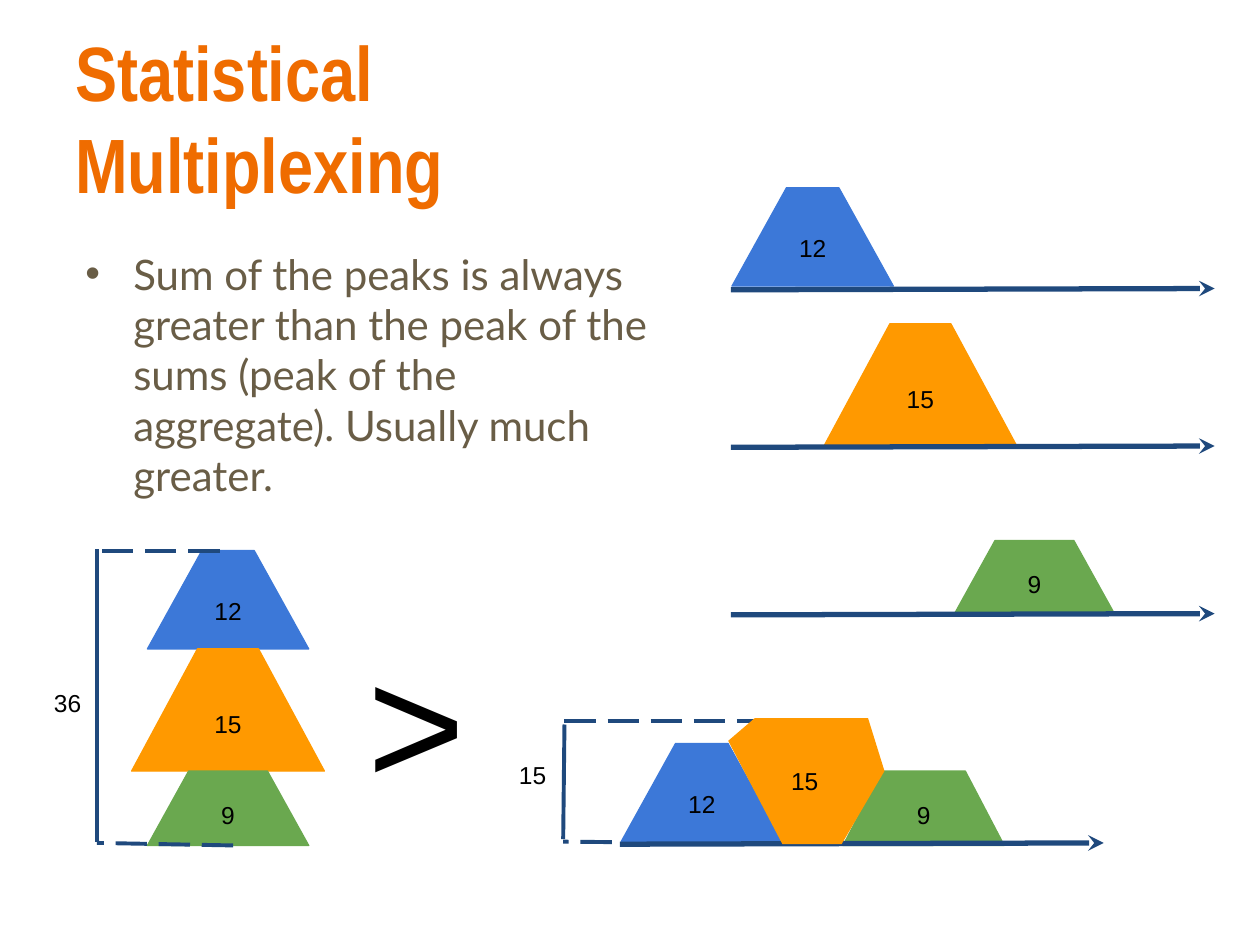
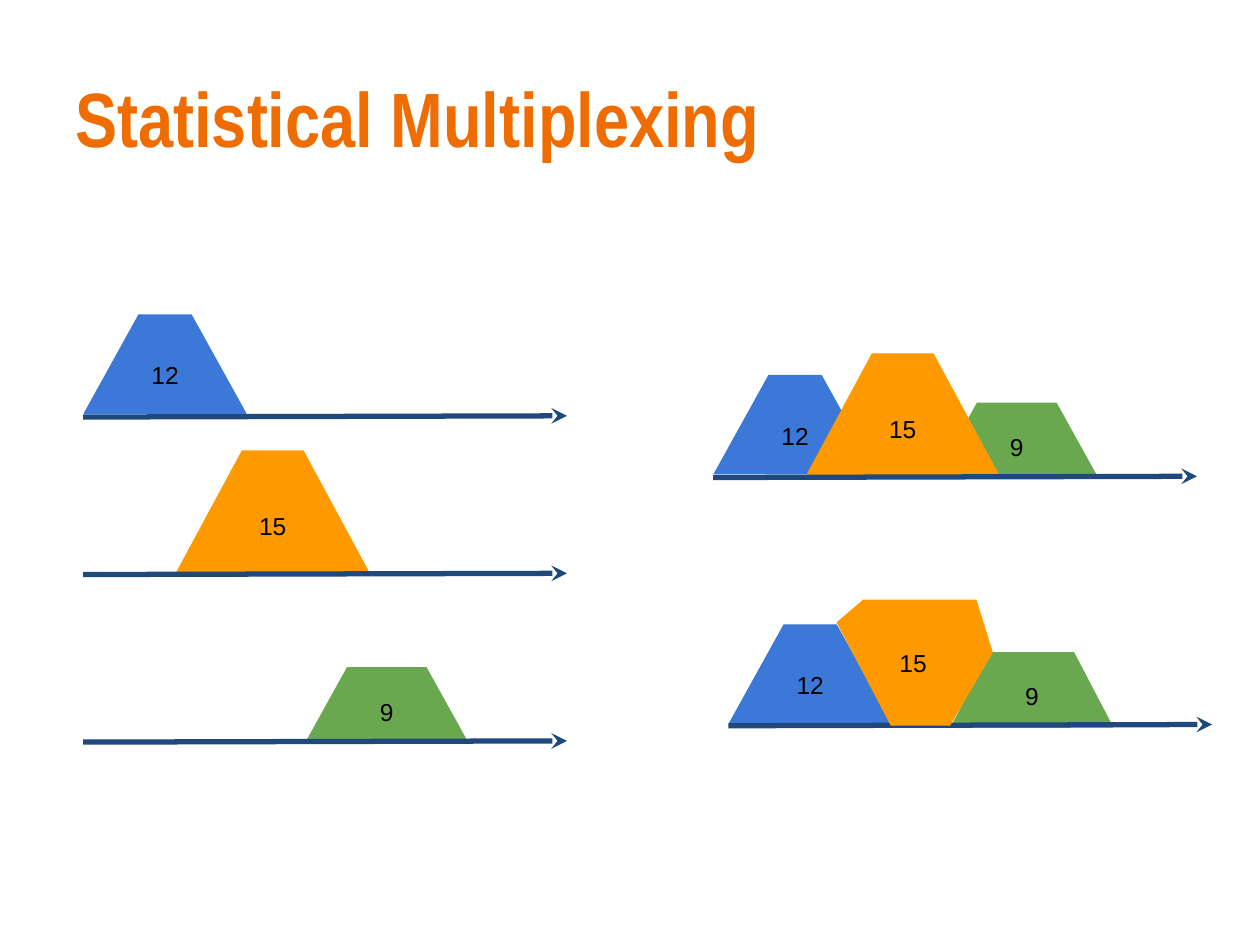
import pptx
import pptx.util
import pptx.dml.color
import pptx.enum.dml
import pptx.enum.shapes
import pptx.enum.text
import pptx.oxml.ns
import lxml.etree

Inches, Pt = pptx.util.Inches, pptx.util.Pt
Anchor = pptx.enum.text.MSO_ANCHOR
Align = pptx.enum.text.PP_ALIGN
Dash = pptx.enum.dml.MSO_LINE

COLORS = {"title": "EF6C00", "body": "695D46", "text": "000000", "axis": "1F497D",
          "blue": "3C78D8", "orange": "FF9900", "green": "6AA84F"}
# peak value: width, height, slant, colour
PEAKS = {12: (1.28, 0.78, 0.554, "blue"),
         15: (1.53, 0.97, 0.539, "orange"),
         9: (1.28, 0.59, 0.554, "green")}
SPAN = 3.84


def color(name):
    return pptx.dml.color.RGBColor.from_string(COLORS[name])


def child(parent, tag, **attrs):
    return lxml.etree.SubElement(parent, pptx.oxml.ns.qn(tag), attrs)


def paint(shape, name):
    shape.shadow.inherit = False
    shape.fill.solid()
    shape.fill.fore_color.rgb = color(name)


def write(shape, text, size=14, font="Arial", ink="text", pad=0.1, bold=False):
    frame = shape.text_frame
    frame.margin_left = frame.margin_right = Inches(0.1)
    frame.margin_top = frame.margin_bottom = Inches(pad)
    para = frame.paragraphs[0]
    run = para.add_run()
    run.text = text
    run.font.size, run.font.name, run.font.bold = Pt(size), font, bold
    run.font.color.rgb = color(ink)
    return para


def label(slide, text, left, top, width, height, wrap=False, **style):
    box = slide.shapes.add_textbox(*map(Inches, (left, top, width, height)))
    box.text_frame.word_wrap = wrap
    return box, write(box, text, **style)


def title(slide, width):
    box, _ = label(slide, "Statistical Multiplexing", 0.5, 0.3, width, 1.25, wrap=True,
                   size=44, font="Arial Narrow", ink="title", pad=0.05, bold=True)
    box.text_frame.vertical_anchor = Anchor.MIDDLE


def body(slide, text, left, top, width, height):
    _, para = label(slide, text, left, top, width, height, wrap=True,
                    size=24, font="Lato", ink="body", pad=0.05)
    props = para._p.get_or_add_pPr()
    props.set("marL", str(Inches(0.38)))
    props.set("indent", str(-Inches(0.38)))
    child(child(props, "a:buClr"), "a:srgbClr", val=COLORS["body"])
    child(props, "a:buFont", typeface="Arial")
    child(props, "a:buChar", char="•")


def line(slide, x1, y1, x2, y2, width=2.25, dash=None, arrow=False):
    link = slide.shapes.add_connector(pptx.enum.shapes.MSO_CONNECTOR.STRAIGHT,
                                      *map(Inches, (x1, y1, x2, y2)))
    link.line.color.rgb = color("axis")
    link.line.width = Pt(width)
    if dash:
        link.line.dash_style = dash
    if arrow:
        child(link.line._get_or_add_ln(), "a:tailEnd", type="stealth")
    child(link._element.spPr, "a:effectLst")


def axis(slide, left, y):
    line(slide, left, y, left + SPAN, y - 0.01, width=3, arrow=True)


def peak(slide, value, left, top, slant=None):
    width, height, lean, name = PEAKS[value]
    shape = slide.shapes.add_shape(pptx.enum.shapes.MSO_SHAPE.TRAPEZOID,
                                   *map(Inches, (left, top, width, height)))
    shape.adjustments[0] = slant or lean
    paint(shape, name)
    shape.line.color.rgb = color(name)
    shape.line.width = Pt(0.75)
    shape.text_frame.vertical_anchor = Anchor.MIDDLE
    write(shape, str(value)).alignment = Align.CENTER


def lanes(slide, left, top):
    """Three flows, each on its own time axis."""
    for value, dx, dy, base in ((12, 0.01, 0, 0.81), (15, 0.74, 1.08, 2.06),
                                (9, 1.77, 2.8, 3.39)):
        peak(slide, value, left + dx, top + dy)
        axis(slide, left, top + base)


def overlap(slide, left, top):
    """Three flows drawn over each other on one axis."""
    for value, dx, dy in ((12, 0.01, 0.17), (9, 1.77, 0.39), (15, 0.74, 0)):
        peak(slide, value, left + dx, top + dy)
    axis(slide, left, top + 0.98)


def merge(slide, left, top):
    """The aggregate: the middle flow fills the gap between the others."""
    peak(slide, 12, left + 0.01, top + 0.2)
    peak(slide, 9, left + 1.77, top + 0.42, slant=0.523)
    axis(slide, left, top + 1)
    dots = [(0.86, 0.18), (1.07, 0), (1.97, 0), (2.1, 0.42), (1.76, 1), (1.29, 1)]
    first, *rest = [(Inches(left + x), Inches(top + y)) for x, y in dots]
    path = slide.shapes.build_freeform(*first, scale=1.0)
    path.add_line_segments(rest, close=True)
    shape = path.convert_to_shape()
    paint(shape, "orange")
    shape.line.fill.background()
    label(slide, "15", left + 1.26, top + 0.28, 0.44, 0.4)


def stack(slide, left, top):
    """Peaks piled up, with their total height."""
    middle, y = left + 1.48, top + 0.01
    for value in PEAKS:
        width, height = PEAKS[value][:2]
        peak(slide, value, middle - width / 2, y)
        y += height
    side = left + 0.44
    line(slide, side, top, side, top + 2.32)
    line(slide, side + 0.04, top + 0.01, side + 1.03, top + 0.01, dash=Dash.LONG_DASH)
    line(slide, side + 1.08, top + 2.35, side, top + 2.33, dash=Dash.LONG_DASH)
    label(slide, "36", left, top + 1, 0.42, 0.54)


def gauge(slide, left, top):
    """Height of the aggregate peak."""
    side = left + 0.45
    line(slide, side + 0.01, top + 0.03, side, top + 0.94)
    line(slide, side + 0.01, top, side + 1.75, top, dash=Dash.LONG_DASH)
    line(slide, side + 1.07, top + 0.97, side, top + 0.96, dash=Dash.LONG_DASH)
    label(slide, "15", left, top + 0.21, 0.42, 0.54)


def compare(slide):
    title(slide, 5.3)
    lanes(slide, 5.8, 1.49)
    body(slide, "Sum of the peaks is always greater than the peak of the sums "
         "(peak of the aggregate). Usually much greater.", 0.58, 1.92, 4.78, 2.21)
    stack(slide, 0.33, 4.36)
    label(slide, ">", 2.82, 4.8, 1.22, 1.68, wrap=True, size=96)
    gauge(slide, 4.02, 5.72)
    merge(slide, 4.92, 5.7)


def combine(slide):
    title(slide, 9)
    lanes(slide, 0.66, 2.5)
    overlap(slide, 5.66, 2.81)
    merge(slide, 5.78, 4.76)


def main():
    deck = pptx.Presentation()
    deck.slide_width, deck.slide_height = Inches(10), Inches(7.5)
    for build in (compare, combine):
        build(deck.slides.add_slide(deck.slide_layouts[6]))
    deck.save("out.pptx")


if __name__ == "__main__":
    main()
